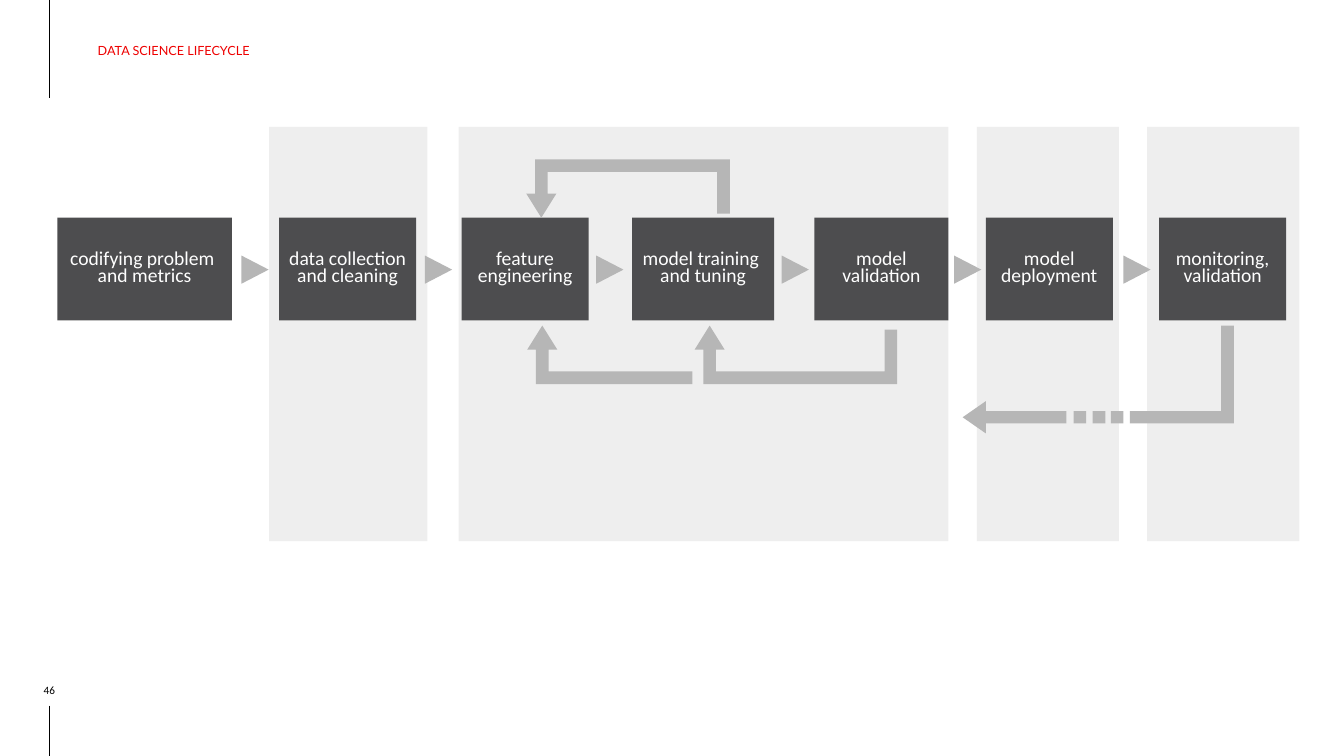
from lxml.etree import SubElement
from pptx import Presentation
from pptx.dml.color import RGBColor
from pptx.enum.shapes import MSO_CONNECTOR as Connector, MSO_SHAPE as Preset
from pptx.enum.text import MSO_ANCHOR as Anchor, PP_ALIGN as Align
from pptx.oxml.ns import qn
from pptx.util import Inches, Pt

COLORS = {
    "panel": "EEEEEE",
    "step": "4D4D4F",
    "arrow": "B6B6B6",
    "title": "EE0000",
    "ink": "000000",
    "step_text": "FFFFFF",
}
CELL = 0.1  # inches per grid column and row
COLUMNS, ROWS = 133.33, 75

STEP_TOP, STEP_HEIGHT = 21.6, 10.2
STEP_BOTTOM = STEP_TOP + STEP_HEIGHT
PANEL_TOP, PANEL_HEIGHT = 12.6, 41.1
MARGIN_LINE = 4.9
BAR = 1.25

PANELS = [(113.8, 15.1), (96.9, 14.1), (45.5, 48.6), (26.7, 15.7)]
STEPS = [
    (5.7, 17.3, ["codifying problem \nand metrics"]),
    (27.7, 13.6, ["data collection and cleaning"]),
    (45.8, 12.6, ["feature engineering"]),
    (62.7, 14.1, ["model training ", "and tuning"]),
    (80.8, 13.3, ["model", "validation"]),
    (97.8, 12.6, ["model", "deployment"]),
    (115, 12.6, ["monitoring,", "validation"]),
]
POINTERS = [23.9, 42.1, 59.1, 77.5, 94.6, 111.4]


def cells(count):
    return Inches(count * CELL)


def rectangle(left, top, right, bottom):
    return [(left, top), (right, top), (right, bottom), (left, bottom)]


class LifecycleSlide:
    def __init__(self, presentation):
        self.slide = presentation.slides.add_slide(presentation.slide_layouts[6])
        self.shapes = self.slide.shapes

    def color(self, name):
        return RGBColor.from_string(COLORS[name])

    def paint(self, shape, color):
        shape.shadow.inherit = False
        shape.fill.solid()
        shape.fill.fore_color.rgb = self.color(color)
        shape.line.fill.background()

    def block(self, preset, left, top, width, height, color):
        shape = self.shapes.add_shape(
            preset, cells(left), cells(top), cells(width), cells(height))
        self.paint(shape, color)
        return shape

    def outline(self, contours, color):
        """Draw closed contours, given as lists of grid points, as one shape."""
        first, *others = contours
        builder = self.shapes.build_freeform(*map(cells, first[0]))
        builder.add_line_segments([tuple(map(cells, point)) for point in first[1:]])
        for contour in others:
            builder.move_to(*map(cells, contour[0]))
            builder.add_line_segments([tuple(map(cells, point)) for point in contour[1:]])
        self.paint(builder.convert_to_shape(), color)

    def margin_line(self, top, bottom):
        line = self.shapes.add_connector(
            Connector.STRAIGHT, cells(MARGIN_LINE), cells(top), cells(MARGIN_LINE), cells(bottom))
        line.line.color.rgb = self.color("ink")
        line.line.width = Pt(0.75)
        SubElement(line._element.spPr, qn("a:effectLst"))

    def set_text(self, shape, paragraphs, font, size, color, insets, anchor=Anchor.MIDDLE,
                 align=Align.CENTER, spacing=1.0):
        frame = shape.text_frame
        frame.word_wrap = True
        frame.vertical_anchor = anchor
        frame.margin_left, frame.margin_top, frame.margin_right, frame.margin_bottom = map(
            cells, insets)
        for index, text in enumerate(paragraphs):
            paragraph = frame.add_paragraph() if index else frame.paragraphs[0]
            paragraph.alignment = align
            paragraph.line_spacing = spacing
            for number, line in enumerate(text.split("\n")):
                if number:
                    paragraph.add_line_break()
                run = paragraph.add_run()
                run.text = line
                run.font.name = font
                run.font.size = Pt(size)
                run.font.color.rgb = self.color(color)

    def label(self, left, top, width, height, text, **style):
        box = self.shapes.add_textbox(cells(left), cells(top), cells(width), cells(height))
        self.set_text(box, [text], **style)

    def step(self, left, width, paragraphs):
        shape = self.block(Preset.RECTANGLE, left, STEP_TOP, width, STEP_HEIGHT, "step")
        self.set_text(shape, paragraphs, "Calibri", 14, "step_text", [0.3] * 4, spacing=0.7)

    def pointer(self, left):
        self.block(Preset.ISOSCELES_TRIANGLE, left, 25.4, 2.8, 2.7, "arrow").rotation = 90

    def loop_arrow(self, tip_x, tip_y, right, away, foot=0.4):
        """Draw a return arrow; away is -1 above the steps and 1 below them."""
        neck, inner, outer, end = (
            tip_y + away * depth for depth in (2.4, 5.8 - BAR, 5.8, foot))
        shaft_left, shaft_right = tip_x - BAR / 2, tip_x + BAR / 2
        self.outline([[
            (shaft_left, outer), (shaft_left, neck), (tip_x - 1.5, neck), (tip_x, tip_y),
            (tip_x + 1.5, neck), (shaft_right, neck), (shaft_right, inner),
            (right - BAR, inner), (right - BAR, end), (right, end), (right, outer),
        ]], "arrow")

    def feedback_arrow(self):
        top, bottom, right = 40.8, 42, 122.4
        middle = (top + bottom) / 2
        riser = [
            (right - BAR, 32.3), (right - BAR, top), (112.1, top),
            (112.1, bottom), (right, bottom), (right, 32.3),
        ]
        head = [
            (97.8, middle - 1.6), (95.5, middle), (97.8, middle + 1.6), (97.8, bottom),
            (105.8, bottom), (105.8, top), (97.8, top),
        ]
        dashes = [rectangle(left, top, left + BAR, bottom) for left in (106.5, 108.4, 110.2)]
        self.outline([riser, head, *dashes], "arrow")


def main():
    presentation = Presentation()
    presentation.slide_width = cells(COLUMNS)
    presentation.slide_height = cells(ROWS)
    lifecycle = LifecycleSlide(presentation)

    lifecycle.margin_line(0, 9.7)
    lifecycle.margin_line(70, ROWS)
    for left, width in PANELS:
        lifecycle.block(Preset.RECTANGLE, left, PANEL_TOP, width, PANEL_HEIGHT, "panel")
    lifecycle.label(MARGIN_LINE, 0.6, 56.3, 8.9, "DATA SCIENCE LIFECYCLE", font="Lato", size=9,
                    color="title", insets=[4.8, 1, 1, 1], align=Align.LEFT)
    lifecycle.label(0.9, 67.5, 8, 1.6, "46", font="Calibri", size=8,
                    color="ink", insets=[0] * 4, anchor=Anchor.BOTTOM)

    for left in POINTERS:
        lifecycle.pointer(left)
    for left, width, paragraphs in STEPS:
        lifecycle.step(left, width, paragraphs)

    lifecycle.loop_arrow(53.7, STEP_TOP, 72.4, away=-1)
    lifecycle.feedback_arrow()
    loop_tip = STEP_BOTTOM + 0.5
    lifecycle.loop_arrow(70.4, loop_tip, 89, away=1)
    lifecycle.loop_arrow(53.8, loop_tip, 68.7, away=1, foot=5.8 - BAR)
    presentation.save("out.pptx")


if __name__ == "__main__":
    main()
